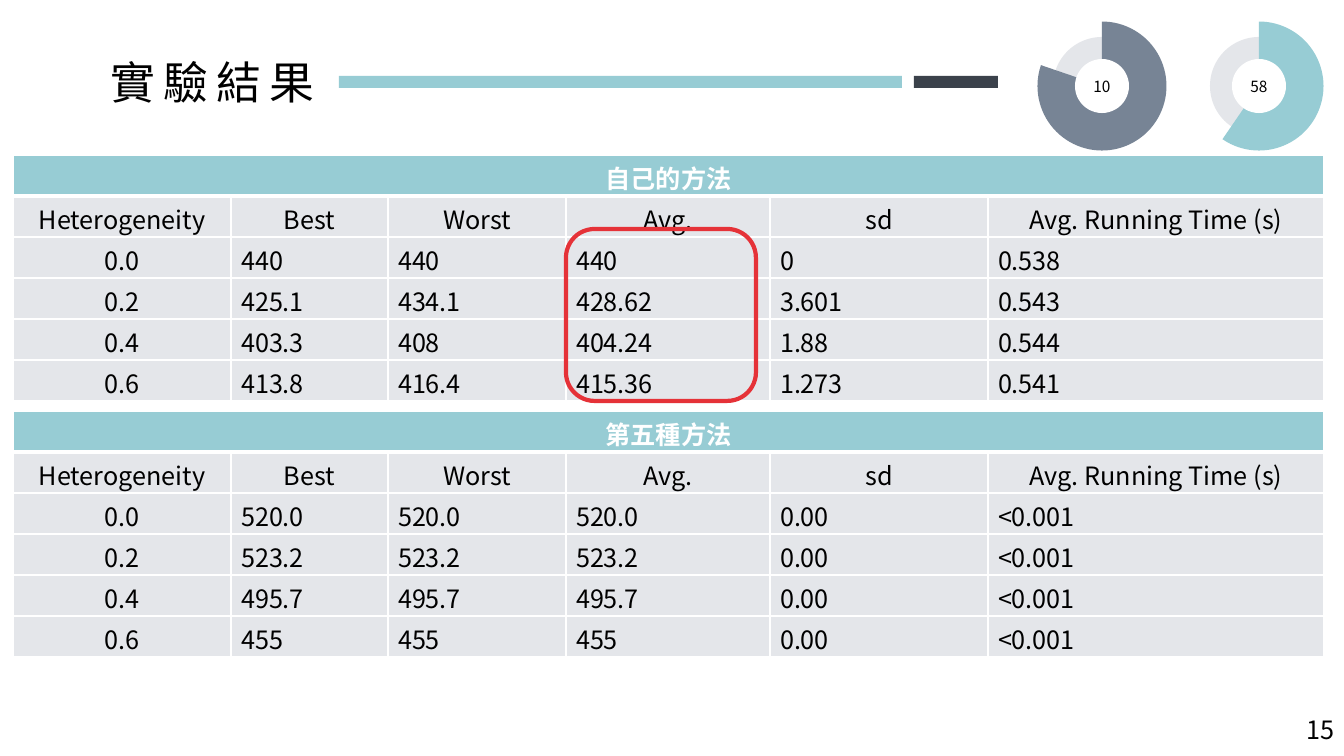
from lxml import etree
from pptx import Presentation
from pptx.dml.color import RGBColor
from pptx.enum.shapes import MSO_SHAPE as SHAPE
from pptx.enum.text import MSO_ANCHOR as ANCHOR, MSO_AUTO_SIZE as AUTO, PP_ALIGN as ALIGN
from pptx.oxml.ns import qn
from pptx.util import Emu, Pt

PX = 914400 / 100.8
FONT = "Noto Sans CJK SC"
COLORS = {"teal": "97CCD4", "dark": "3B424B", "slate": "778495", "gray": "E4E6EA",
          "red": "E53238", "white": "FFFFFF", "black": "000000"}
C = {name: RGBColor.from_string(code) for name, code in COLORS.items()}


def add_shape(shapes, kind, box, fill=None):
    sp = shapes.add_shape(kind, *[Emu(round(n * PX)) for n in box])
    sp.shadow.inherit = False
    sp.line.fill.background()
    if fill:
        sp.fill.solid()
        sp.fill.fore_color.rgb = C[fill]
    else:
        sp.fill.background()
    return sp


def set_text(tf, text, size, color="black", align=ALIGN.LEFT, bold=False):
    tf.text = text
    p = tf.paragraphs[0]
    p.alignment = align
    r = p.runs[0]
    r.font.size, r.font.bold, r.font.name = Pt(size), bold, FONT
    r.font.color.rgb = C[color]
    etree.SubElement(r.font._element, qn("a:ea"), typeface=FONT)
    return r


prs = Presentation()
prs.slide_width, prs.slide_height = Emu(round(1344 * PX)), Emu(round(756 * PX))
s = prs.slides.add_slide(prs.slide_layouts[5])

# Title and slide number
title = s.shapes.title
title.left, title.top, title.width, title.height = [Emu(round(n * PX)) for n in (100, 50, 235, 65)]
number = s.shapes.add_textbox(*[Emu(round(n * PX)) for n in (1297, 709, 50, 40)])
for sp, text, size in ((title, "實驗結果", 32), (number, "15", 18)):
    tf = sp.text_frame
    tf.word_wrap, tf.auto_size = False, AUTO.SHAPE_TO_FIT_TEXT
    tf.vertical_anchor = ANCHOR.TOP
    r = set_text(tf, text, size)
    if sp is title:
        r.font._element.set("spc", "600")

# Title bars
add_shape(s.shapes, SHAPE.RECTANGLE, (339, 76, 563, 12), "teal")
add_shape(s.shapes, SHAPE.RECTANGLE, (914, 76, 84, 12), "dark")

# Progress rings: centre x, label, colour, end angle of the wedge
for cx, label, color, end in ((1102, "10", "slate", 198.91), (1259, "58", "teal", 124.48)):
    ring = s.shapes.add_group_shape().shapes
    parts = []
    for kind, d, fill in ((SHAPE.OVAL, 98, "gray"), (SHAPE.PIE, 129, color), (SHAPE.OVAL, 54, "white")):
        parts.append(add_shape(ring, kind, (cx - d / 2, 86 - d / 2, d, d), fill))
    wedge, hub = parts[1:]
    wedge.adjustments[0] = 270 * 0.6
    wedge.adjustments[1] = end * 0.6
    hub.text_frame.vertical_anchor = ANCHOR.MIDDLE
    set_text(hub.text_frame, label, 11, align=ALIGN.CENTER)

# Result tables
COLUMNS = [218, 157, 178, 204, 218, 336]
ROW_H = 41
HEADINGS = ["Heterogeneity", "Best", "Worst", "Avg.", "sd", "Avg. Running Time (s)"]
TABLES = [
    ("第五種方法", 411, [
        ["0.0", "520.0", "520.0", "520.0", "0.00", "<0.001"],
        ["0.2", "523.2", "523.2", "523.2", "0.00", "<0.001"],
        ["0.4", "495.7", "495.7", "495.7", "0.00", "<0.001"],
        ["0.6", "455", "455", "455", "0.00", "<0.001"]]),
    ("自己的方法", 155, [
        ["0.0", "440", "440", "440", "0", "0.538"],
        ["0.2", "425.1", "434.1", "428.62", "3.601", "0.543"],
        ["0.4", "403.3", "408", "404.24", "1.88", "0.544"],
        ["0.6", "413.8", "416.4", "415.36", "1.273", "0.541"]]),
]
for method, top, results in TABLES:
    rows = [[method] + [""] * 5, HEADINGS] + results
    box = (13, top, sum(COLUMNS), ROW_H * len(rows))
    table = s.shapes.add_table(len(rows), len(COLUMNS), *[Emu(round(n * PX)) for n in box]).table
    table.horz_banding = False
    for column, width in zip(table.columns, COLUMNS):
        column.width = Emu(round(width * PX))
    for i, row in enumerate(rows):
        table.rows[i].height = Emu(round(ROW_H * PX))
        for j, text in enumerate(row):
            cell = table.cell(i, j)
            cell.margin_top, cell.margin_bottom = Emu(round(4 * PX)), 0
            # White borders, thicker under the method name
            for side in ("L", "R", "T", "B"):
                thick = (i, side) in ((0, "B"), (1, "T"))
                ln = etree.SubElement(cell._tc.get_or_add_tcPr(), qn(f"a:ln{side}"),
                                      w=str(Pt(3 if thick else 1)))
                etree.SubElement(etree.SubElement(ln, qn("a:solidFill")), qn("a:srgbClr"),
                                 val=COLORS["white"])
            cell.fill.solid()
            cell.fill.fore_color.rgb = C["gray" if i else "teal"]
            if text:
                set_text(cell.text_frame, text, 18, "black" if i else "white",
                         ALIGN.CENTER if i < 2 or j == 0 else ALIGN.LEFT, bold=i == 0)
    table.cell(0, 0).merge(table.cell(0, len(COLUMNS) - 1))

# Highlight around the averages
frame = add_shape(s.shapes, SHAPE.ROUNDED_RECTANGLE, (566, 229, 190, 172))
frame.line.color.rgb = C["red"]
frame.line.width = Pt(3)

prs.save("out.pptx")
